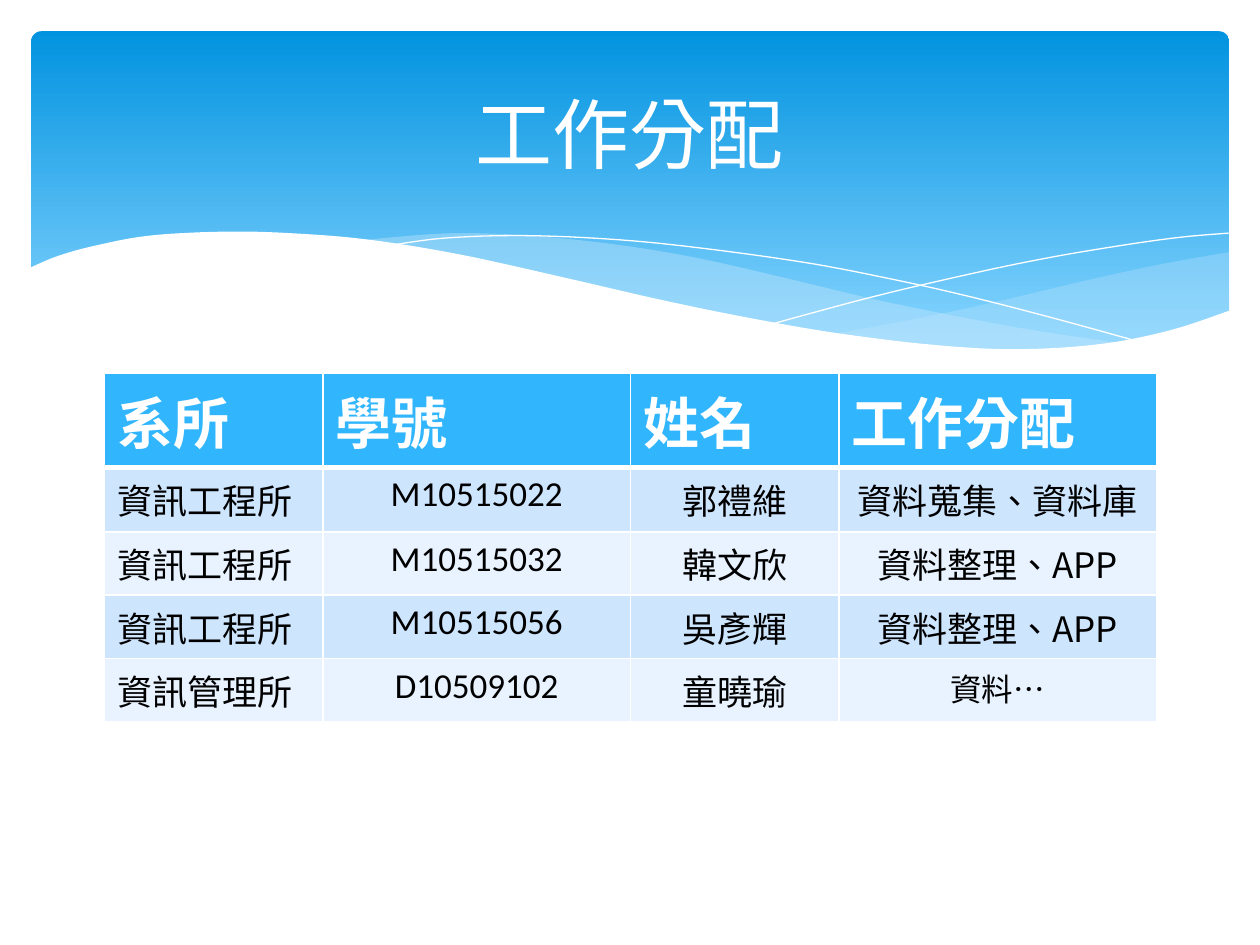
from dataclasses import dataclass

from lxml.etree import SubElement
from pptx import Presentation
from pptx.dml.color import RGBColor
from pptx.enum.lang import MSO_LANGUAGE_ID as Language
from pptx.enum.shapes import MSO_SHAPE as Preset
from pptx.enum.text import MSO_ANCHOR as Anchor, PP_ALIGN as Align
from pptx.oxml.ns import qn
from pptx.util import Cm, Pt

Point = tuple[float, float]


@dataclass(frozen=True)
class Theme:
    """Colours, fonts and type sizes."""
    white: str = "FFFFFF"
    black: str = "000000"
    sky_top: str = "0293E0"
    sky_bottom: str = "83D3FE"
    mist: str = "C6E7FC"
    header: str = "31B6FD"
    bands: tuple[str, str] = ("CEE5FE", "E8F3FF")
    latin: str = "Calibri"
    chinese: str = "Noto Sans CJK SC"
    title_size: int = 44
    header_size: int = 32
    body_size: int = 20
    small_size: int = 18


@dataclass(frozen=True)
class Wave:
    """Smooth edges in cm joined into one outline; filled if it has a fill."""
    edges: tuple[tuple[Point, ...], ...]
    fill: str | None = None
    opacity: int = 100


@dataclass(frozen=True)
class TextStyle:
    """Format of one piece of text."""
    size: int
    color: str
    font: str
    align: Align
    bold: bool = False


THEME = Theme()
WAVES = (
    Wave((((24.79, 5.08), (23.39, 5.33), (21.87, 5.66), (19.79, 6.15),
           (17.93, 6.53), (16.79, 6.73)),
          ((16.79, 6.73), (18.26, 6.91), (19.53, 7.04), (20.68, 7.06),
           (21.69, 7.01), (22.78, 6.86), (23.75, 6.65), (24.79, 6.27))),
         THEME.mist, 29),
    Wave((((22.68, 6.93), (20.5, 6.6), (17.93, 6.1), (15.98, 5.64),
           (14.1, 5.21), (12.42, 4.93), (10.67, 4.75), (9.17, 4.7),
           (7.95, 4.78), (7.26, 4.85)),
          ((7.26, 4.85), (9.19, 5.16), (11.4, 5.64), (13.46, 6.1),
           (15.27, 6.48), (17.27, 6.81), (19, 7.01), (20.5, 7.06),
           (21.77, 7.04), (22.68, 6.93))),
         THEME.mist, 40),
    Wave((((7.85, 4.95), (8.97, 4.8), (10.57, 4.75), (12.42, 4.83),
           (14.12, 5), (16.15, 5.28), (17.65, 5.56), (19.3, 5.92),
           (21.11, 6.38), (23.04, 6.91)),)),
    Wave((((15.57, 6.53), (17.65, 5.97), (19.71, 5.49), (21.23, 5.18),
           (22.73, 4.93), (23.83, 4.78), (24.77, 4.7)),)),
    Wave((((24.82, 6.25), (23.62, 6.65), (22.23, 6.93), (20.55, 7.04),
           (18.9, 6.96), (16.97, 6.73), (15.32, 6.45), (13.44, 6.07),
           (11.35, 5.59), (9.27, 5.13), (7.42, 4.83), (5.84, 4.7),
           (4.5, 4.67), (3.02, 4.75), (1.93, 4.95), (1.17, 5.16),
           (0.58, 5.41)),
          ((0.58, 8.36), (24.82, 8.36))),
         THEME.white),
)
ROWS = (
    ("系所", "學號", "姓名", "工作分配"),
    ("資訊工程所", "M10515022", "郭禮維", "資料蒐集、資料庫"),
    ("資訊工程所", "M10515032", "韓文欣", "資料整理、APP"),
    ("資訊工程所", "M10515056", "吳彥輝", "資料整理、APP"),
    ("資訊管理所", "D10509102", "童曉瑜", "資料…"),
)
COLUMN_WIDTHS = (4.4, 6.2, 4.2, 6.4)
ROW_HEIGHTS = (1.9, 1.3, 1.2, 1.2, 1)


def place(shape, left: float, top: float, width: float, height: float) -> None:
    """Move and size a shape, in cm."""
    frame = {"left": left, "top": top, "width": width, "height": height}
    for name, value in frame.items():
        setattr(shape, name, Cm(value))


def write(text_frame, text: str, style: TextStyle) -> None:
    """Write one styled paragraph."""
    para = text_frame.paragraphs[0]
    para.alignment = style.align
    span = para.add_run()
    span.text = text
    span.font.color.rgb = RGBColor.from_string(style.color)
    values = {"size": Pt(style.size), "bold": style.bold, "name": style.font,
              "language_id": Language.TRADITIONAL_CHINESE}
    for name, value in values.items():
        setattr(span.font, name, value)
    SubElement(span.font._element, qn("a:ea"), typeface=THEME.chinese)


def smooth(knots: tuple[Point, ...], steps: int = 6) -> list[Point]:
    """Return points on a Catmull-Rom curve through the knots."""
    if len(knots) < 3:
        return list(knots)
    padded = (knots[0], *knots, knots[-1])
    points = [knots[0]]
    for a, b, c, d in zip(padded, padded[1:], padded[2:], padded[3:]):
        for step in range(1, steps + 1):
            t = step / steps
            points.append(tuple(
                (2 * q + (r - p) * t + (2 * p - 5 * q + 4 * r - s) * t ** 2
                 + (3 * q - p - 3 * r + s) * t ** 3) / 2
                for p, q, r, s in zip(a, b, c, d)))
    return points


def draw_wave(page, wave: Wave) -> None:
    """Draw a filled wave or a hairline curve."""
    points = [(Cm(x), Cm(y)) for edge in wave.edges for x, y in smooth(edge)]
    builder = page.shapes.build_freeform(*points[0])
    builder.add_line_segments(points[1:], close=wave.fill is not None)
    shape = builder.convert_to_shape()
    shape.shadow.inherit = False
    if wave.fill is None:
        shape.fill.background()
        shape.line.color.rgb = RGBColor.from_string(THEME.white)
        shape.line.width = Pt(0)
        return
    shape.line.fill.background()
    shape.fill.solid()
    shape.fill.fore_color.rgb = RGBColor.from_string(wave.fill)
    color = shape._element.spPr.find(qn("a:solidFill"))[0]
    SubElement(color, qn("a:alpha"), val=str(wave.opacity * 1000))


def draw_banner(page) -> None:
    """Draw the rounded gradient banner."""
    banner = page.shapes.add_shape(Preset.ROUNDED_RECTANGLE, 0, 0, 0, 0)
    place(banner, 0.63, 0.63, 24.15, 6.86)
    banner.adjustments[0] = 0.03
    banner.shadow.inherit = False
    banner.line.fill.background()
    banner.fill.gradient()
    banner.fill.gradient_angle = 270
    stops = ((0, THEME.sky_top), (0.9, THEME.sky_bottom))
    for stop, (position, color) in zip(banner.fill.gradient_stops, stops):
        stop.position = position
        stop.color.rgb = RGBColor.from_string(color)


def set_borders(cell, top: int, bottom: int) -> None:
    """Give a cell white borders, widths in points."""
    properties = cell._tc.get_or_add_tcPr()
    widths = {"lnL": 1, "lnR": 1, "lnT": top, "lnB": bottom}
    for index, (tag, width) in enumerate(widths.items()):
        line = SubElement(properties, qn(f"a:{tag}"), w=str(Pt(width)))
        fill = SubElement(line, qn("a:solidFill"))
        SubElement(fill, qn("a:srgbClr"), val=THEME.white)
        properties.insert(index, line)


def cell_style(row: int, column: int) -> TextStyle:
    """Choose the text format for a table cell."""
    align = Align.JUSTIFY if row == 0 or column == 0 else Align.CENTER
    if row == 0:
        return TextStyle(THEME.header_size, THEME.white, THEME.latin, align, True)
    last = column == len(COLUMN_WIDTHS) - 1
    small = last and row == len(ROWS) - 1
    return TextStyle(THEME.small_size if small else THEME.body_size, THEME.black,
                     THEME.chinese if last else THEME.latin, align)


def draw_table(page) -> None:
    """Draw the table of work assignments."""
    table = page.shapes.add_table(
        len(ROWS), len(COLUMN_WIDTHS), Cm(2.11), Cm(7.52),
        Cm(sum(COLUMN_WIDTHS)), Cm(sum(ROW_HEIGHTS))).table
    for column, width in zip(table.columns, COLUMN_WIDTHS):
        column.width = Cm(width)
    for row, (texts, height) in enumerate(zip(ROWS, ROW_HEIGHTS)):
        table.rows[row].height = Cm(height)
        color = THEME.bands[(row - 1) % 2] if row else THEME.header
        for column, text in enumerate(texts):
            cell = table.cell(row, column)
            cell.fill.solid()
            cell.fill.fore_color.rgb = RGBColor.from_string(color)
            set_borders(cell, 3 if row == 1 else 1, 3 if row == 0 else 1)
            write(cell.text_frame, text, cell_style(row, column))


def main() -> None:
    """Build and save the deck."""
    deck = Presentation()
    deck.slide_width, deck.slide_height = Cm(25.4), Cm(19.05)
    page = deck.slides.add_slide(deck.slide_layouts[5])
    draw_banner(page)
    for wave in WAVES:
        draw_wave(page, wave)
    draw_table(page)
    title = page.shapes.title
    place(title, 1.27, 0.94, 22.86, 3.48)
    title.text_frame.vertical_anchor = Anchor.MIDDLE
    write(title.text_frame, "工作分配",
          TextStyle(THEME.title_size, THEME.white, THEME.latin, Align.CENTER))
    title._element.getparent().append(title._element)
    deck.save("out.pptx")


main()
